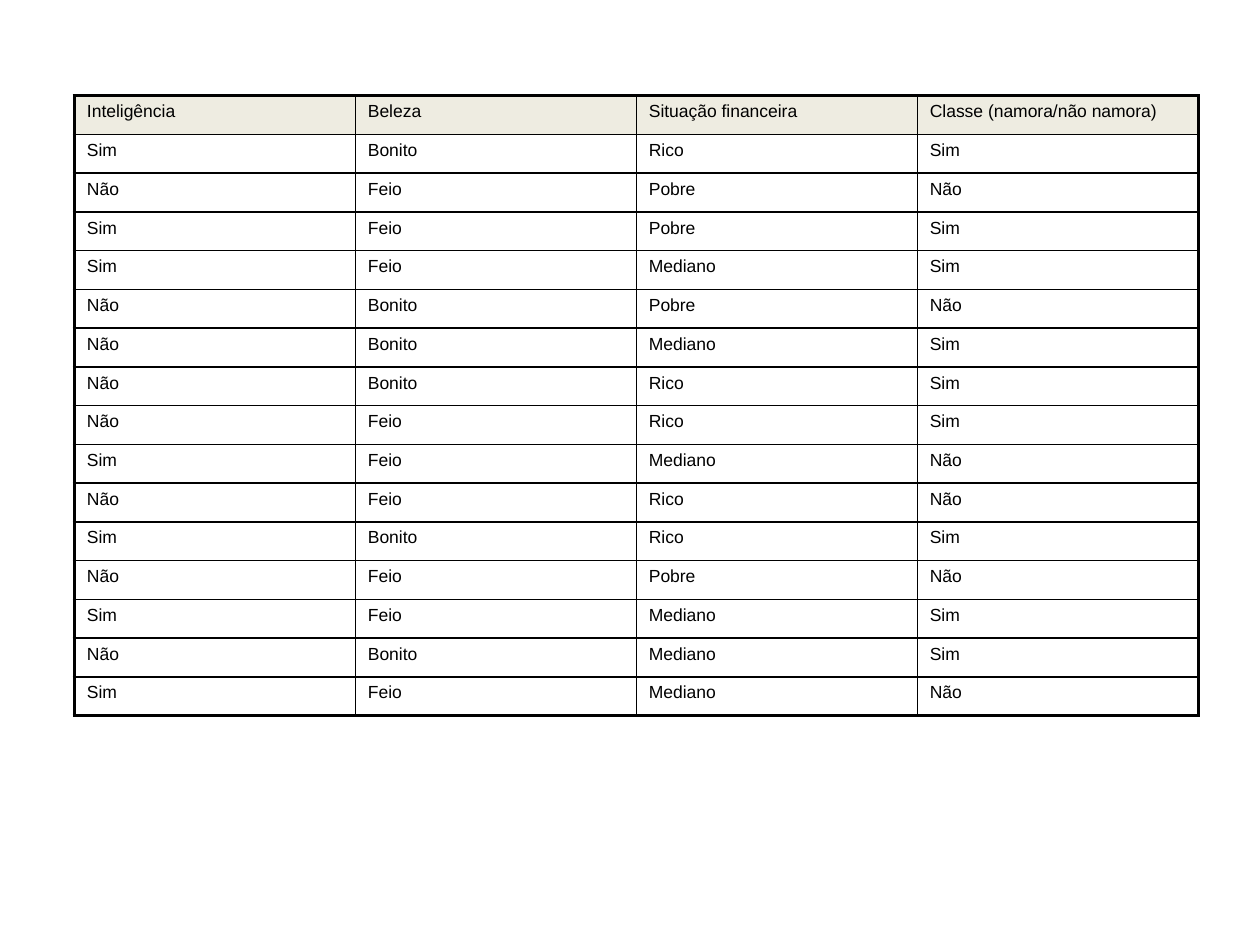
"""Builds a slide with a training table of traits and dating classes."""
from dataclasses import dataclass

from lxml.etree import SubElement
from pptx import Presentation
from pptx.dml.color import RGBColor as RGB
from pptx.oxml.ns import qn
from pptx.util import Inches, Pt

HEAD = ("Inteligência", "Beleza", "Situação financeira", "Classe (namora/não namora)")
CASES = [
    ("Sim", "Bonito", "Rico", "Sim"),
    ("Não", "Feio", "Pobre", "Não"),
    ("Sim", "Feio", "Pobre", "Sim"),
    ("Sim", "Feio", "Mediano", "Sim"),
    ("Não", "Bonito", "Pobre", "Não"),
    ("Não", "Bonito", "Mediano", "Sim"),
    ("Não", "Bonito", "Rico", "Sim"),
    ("Não", "Feio", "Rico", "Sim"),
    ("Sim", "Feio", "Mediano", "Não"),
    ("Não", "Feio", "Rico", "Não"),
    ("Sim", "Bonito", "Rico", "Sim"),
    ("Não", "Feio", "Pobre", "Não"),
    ("Sim", "Feio", "Mediano", "Sim"),
    ("Não", "Bonito", "Mediano", "Sim"),
    ("Sim", "Feio", "Mediano", "Não"),
]


@dataclass(frozen=True)
class Theme:
    ink: str = "000000"
    head: str = "EEECE1"
    font: str = "Arial"
    size: float = 10
    thin: float = 1
    thick: float = 2.25


THEME = Theme()


def add_edge(cell, side, outer):
    width = Pt(THEME.thick if outer else THEME.thin)
    line = SubElement(cell._tc.get_or_add_tcPr(), qn(f"a:ln{side}"), w=str(width))
    fill = SubElement(line, qn("a:solidFill"))
    SubElement(fill, qn("a:srgbClr"), val=THEME.ink)


def set_text(cell, text):
    cell.text_frame.text = text
    font = cell.text_frame.paragraphs[0].runs[0].font
    font.name, font.size, font.bold = THEME.font, Pt(THEME.size), False
    font.color.rgb = RGB.from_string(THEME.ink)


def set_fill(cell, head):
    if head:
        cell.fill.solid()
        cell.fill.fore_color.rgb = RGB.from_string(THEME.head)
    else:
        cell.fill.background()


def add_grid(slide, rows):
    high, wide = len(rows), len(rows[0])
    grid = slide.shapes.add_table(
        high, wide, Inches(0.59), Inches(0.76), Inches(8.92), Inches(4.92)).table
    grid.horz_banding = False
    for r, row in enumerate(rows):
        for c, text in enumerate(row):
            cell = grid.cell(r, c)
            set_text(cell, text)
            outer = {"L": c == 0, "R": c == wide - 1, "T": r == 0, "B": r == high - 1}
            for side, edge in outer.items():
                add_edge(cell, side, edge)
            set_fill(cell, r == 0)


deck = Presentation()
deck.slide_width, deck.slide_height = Inches(10), Inches(7.5)
add_grid(deck.slides.add_slide(deck.slide_layouts[6]), [HEAD, *CASES])
deck.save("out.pptx")
